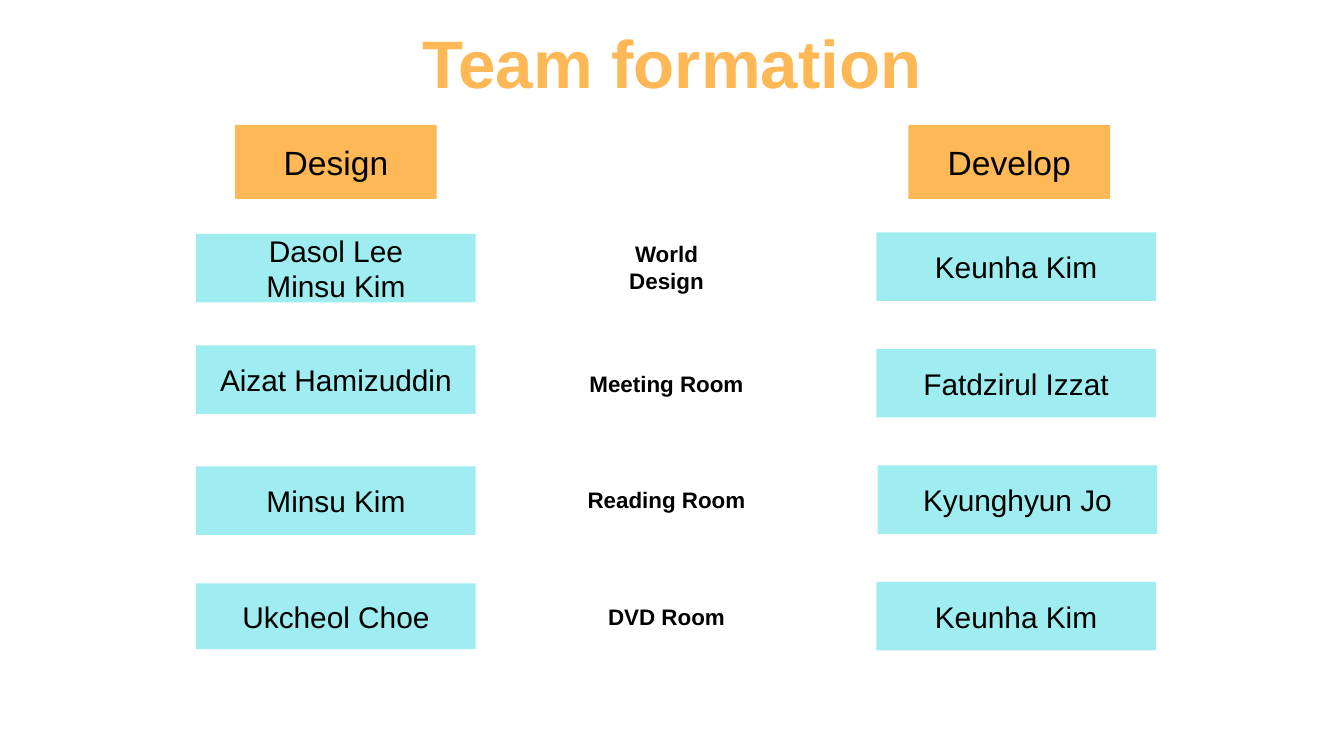
from pptx import Presentation
from pptx.dml.color import RGBColor
from pptx.enum.shapes import MSO_SHAPE
from pptx.enum.text import MSO_ANCHOR, PP_ALIGN
from pptx.util import Inches, Pt

ORANGE = "FEB856"
AQUA = "9FEDF0"
BLACK = "000000"


def color(hex_string):
    return RGBColor.from_string(hex_string)


def add_text(text, left, top, width, height, size, fill=None, font_color=BLACK, bold=False):
    """Add centred text, on a filled rectangle if a fill is given."""
    box = Inches(left), Inches(top), Inches(width), Inches(height)
    if fill:
        shape = slide.shapes.add_shape(MSO_SHAPE.RECTANGLE, *box)
        shape.shadow.inherit = False
        shape.fill.solid()
        shape.fill.fore_color.rgb = color(fill)
        shape.line.fill.background()
    else:
        shape = slide.shapes.add_textbox(*box)
    frame = shape.text_frame
    frame.word_wrap = True
    frame.vertical_anchor = MSO_ANCHOR.MIDDLE
    for index, line in enumerate(text.split("\n")):
        paragraph = frame.add_paragraph() if index else frame.paragraphs[0]
        paragraph.alignment = PP_ALIGN.CENTER
        run = paragraph.add_run()
        run.text = line
        run.font.name = "Arial"
        run.font.size = Pt(size)
        run.font.bold = bold
        run.font.color.rgb = color(font_color)


# Widescreen 16:9 slide
prs = Presentation()
prs.slide_width = Inches(10)
prs.slide_height = Inches(10 * 9 / 16)
slide = prs.slides.add_slide(prs.slide_layouts[6])

# Title
add_text("Team formation", 0, 0.03, 10, 0.85, size=36, font_color=ORANGE, bold=True)

# Column headings
for heading, left in [("Design", 1.75), ("Develop", 6.76)]:
    add_text(heading, left, 0.93, 1.5, 0.55, size=18, fill=ORANGE)

# One row per room: designer with box top and height, room, developer with box left
rows = [
    ("Dasol Lee\nMinsu Kim", 1.74, 0.51, "World\nDesign", "Keunha Kim", 6.52),
    ("Aizat Hamizuddin", 2.57, 0.51, "Meeting Room", "Fatdzirul Izzat", 6.52),
    ("Minsu Kim", 3.47, 0.51, "Reading Room", "Kyunghyun Jo", 6.53),
    ("Ukcheol Choe", 4.34, 0.49, "DVD Room", "Keunha Kim", 6.52),
]
first_top, last_top = 1.73, 4.33
row_pitch = (last_top - first_top) / (len(rows) - 1)
for index, (designer, designer_top, designer_height, room, developer, developer_left) in enumerate(rows):
    top = first_top + index * row_pitch
    add_text(designer, 1.46, designer_top, 2.08, designer_height, size=16, fill=AQUA)
    add_text(room, 4.21, top - 0.02, 1.5, 0.55, size=12, bold=True)
    add_text(developer, developer_left, top, 2.08, 0.51, size=16, fill=AQUA)

prs.save("out.pptx")
